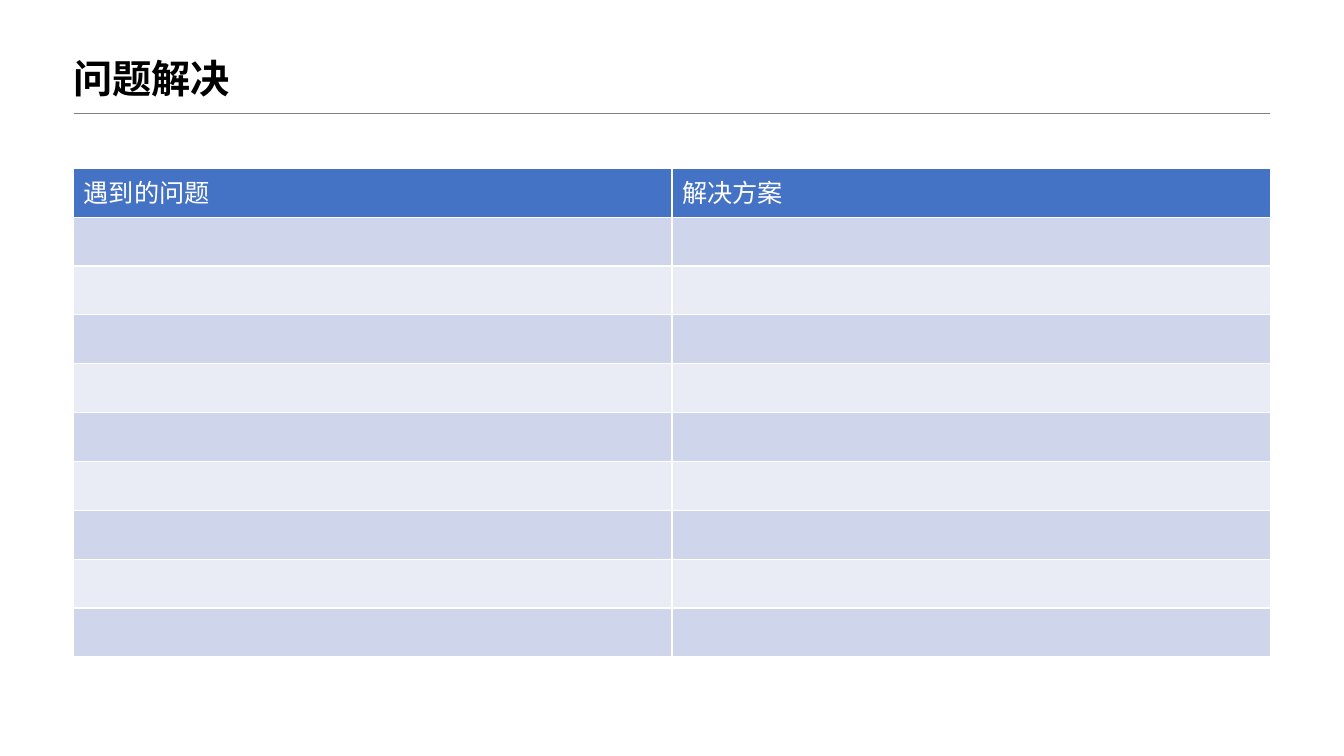
from pptx import Presentation
from pptx.dml.color import RGBColor
from pptx.enum.shapes import MSO_CONNECTOR
from pptx.enum.text import MSO_ANCHOR
from pptx.oxml.ns import qn
from pptx.util import Inches, Pt
from lxml import etree

TITLE = "问题解决"
HEADERS = ["遇到的问题", "解决方案"]
EMPTY_ROWS = 9

THEME = {
    "font": "Arial", "title_size": 28, "header_size": 18,
    "title": "000000", "rule": "808080", "header_text": "FFFFFF",
    "header_fill": "4472C4", "bands": ["CFD5EA", "E9EBF5"],
}
LEFT, WIDTH = 0.73, 11.87
RULE_Y = 1.12
TABLE_TOP, TABLE_HEIGHT = 1.67, 4.85


def color(name):
    return RGBColor.from_string(name)


def style_run(r, size, text_color, bold):
    r.font.name = THEME["font"]
    r.font.size = Pt(size)
    r.font.bold = bold
    r.font.color.rgb = color(text_color)


def add_title(s):
    tf = s.shapes.add_textbox(Inches(0.63), Inches(0.38), Inches(11.75), Inches(0.68)).text_frame
    tf.word_wrap = True
    tf.vertical_anchor = MSO_ANCHOR.BOTTOM
    tf.text = TITLE
    p = tf.paragraphs[0]
    p.line_spacing = 0.9
    style_run(p.runs[0], THEME["title_size"], THEME["title"], True)


def add_rule(s):
    rule = s.shapes.add_connector(MSO_CONNECTOR.STRAIGHT, Inches(LEFT), Inches(RULE_Y),
                                  Inches(LEFT + WIDTH), Inches(RULE_Y))
    rule.line.color.rgb = color(THEME["rule"])
    rule.line.width = Pt(0.25)
    etree.SubElement(rule._element.spPr, qn("a:effectLst"))


def add_problem_table(s):
    table = s.shapes.add_table(EMPTY_ROWS + 1, len(HEADERS), Inches(LEFT), Inches(TABLE_TOP),
                               Inches(WIDTH), Inches(TABLE_HEIGHT)).table
    fills = [THEME["header_fill"]] + [THEME["bands"][i % 2] for i in range(EMPTY_ROWS)]
    for row, fill in zip(table.rows, fills):
        for cell in row.cells:
            cell.fill.solid()
            cell.fill.fore_color.rgb = color(fill)
    for cell, header in zip(table.rows[0].cells, HEADERS):
        cell.text_frame.text = header
        style_run(cell.text_frame.paragraphs[0].runs[0], THEME["header_size"],
                  THEME["header_text"], False)


def main():
    prs = Presentation()
    prs.slide_width, prs.slide_height = Inches(13.33), Inches(7.5)
    s = prs.slides.add_slide(prs.slide_layouts[6])
    add_rule(s)
    add_title(s)
    add_problem_table(s)
    prs.save("out.pptx")


if __name__ == "__main__":
    main()
